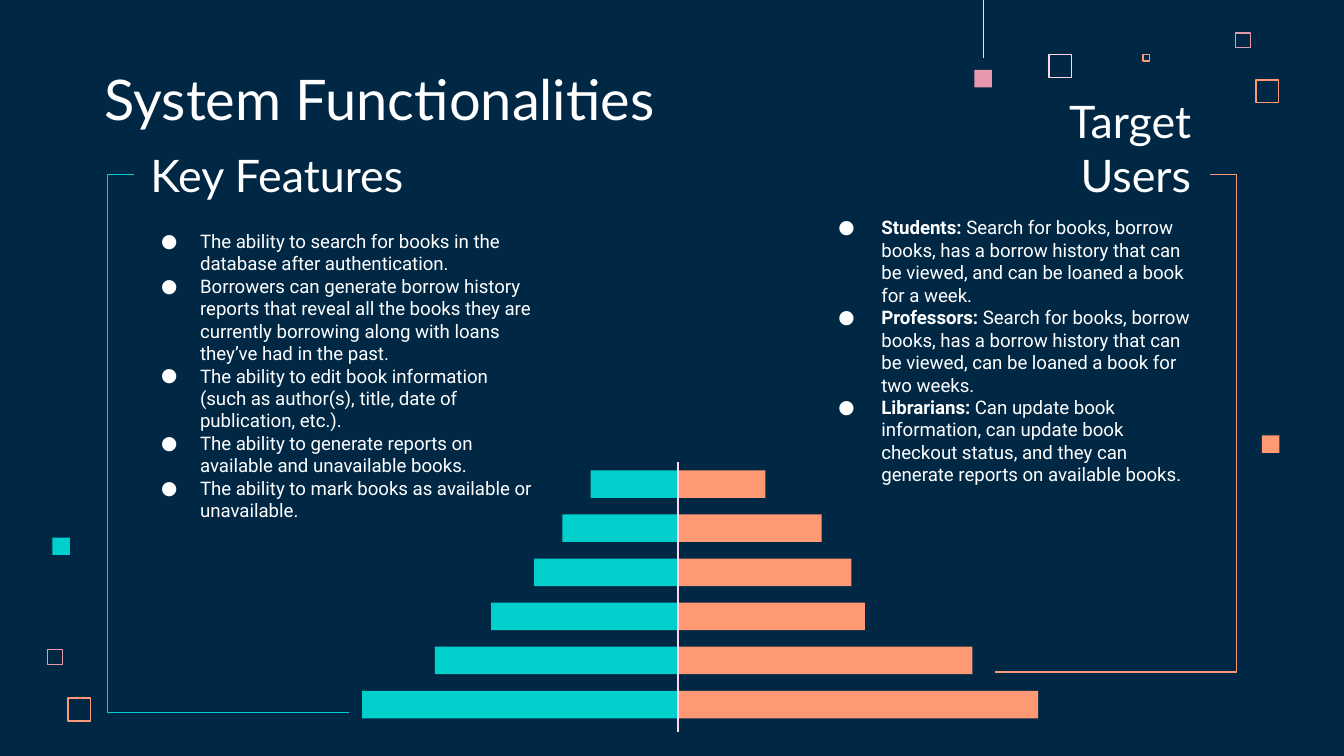
from typing import NamedTuple

from lxml.etree import SubElement
from pptx import Presentation
from pptx.dml.color import RGBColor
from pptx.enum.shapes import MSO_CONNECTOR as Connector, MSO_SHAPE as Shape
from pptx.enum.text import MSO_ANCHOR as Anchor, PP_ALIGN as Align
from pptx.oxml.ns import qn
from pptx.util import Emu, Inches, Pt

COLORS = {
    "navy": "002845",
    "white": "FFFFFF",
    "teal": "00CFCC",
    "orange": "FF9973",
    "rose": "E898AC",
    "blush": "FFD6E1",
}

# Square grid: 100 columns by 56.25 rows over the slide.
COLUMNS, ROWS = 100, 56.25
CELL = Inches(0.1)
HAIRLINE = Pt(0.75)
LINE_CELLS = 0.1


class Square(NamedTuple):
    column: float
    row: float
    size: float
    color: str
    filled: bool = False


class Heading(NamedTuple):
    text: str
    column: float
    row: float
    width: float
    size: int
    align: Align = Align.LEFT


class BulletList(NamedTuple):
    column: float
    row: float
    width: float
    height: float
    hanging: float
    items: list[tuple[str, str]]  # bold lead, plain text


class Bracket(NamedTuple):
    points: list[tuple[float, float]]
    color: str


class Bars(NamedTuple):
    color: str
    direction: int
    lengths: list[float]


SQUARES = [
    Square(78, 4, 1.8, "blush"),
    Square(91.9, 2.4, 1.2, "rose"),
    Square(85, 4, 0.6, "orange"),
    Square(93.4, 5.9, 1.8, "orange"),
    Square(72.5, 5.2, 1.3, "rose", True),
    Square(3.5, 48.3, 1.2, "rose"),
    Square(5, 51.9, 1.8, "orange"),
    Square(3.9, 40, 1.3, "teal", True),
    Square(93.9, 32.4, 1.3, "orange", True),
]
HEADINGS = [
    Heading("System Functionalities", 6.8, 4.5, 67.3, 30),
    Heading("Key Features", 10.2, 9.7, 22.6, 24),
    Heading("Target Users", 71.5, 9.7, 18.1, 24, Align.RIGHT),
]
FEATURES = BulletList(8.9, 16.1, 32.1, 32.6, 2.9, [
    ("", "The ability to search for books in the database after authentication."),
    ("", "Borrowers can generate borrow history reports that reveal all the books "
         "they are currently borrowing along with loans they’ve had in the past."),
    ("", "The ability to edit book information (such as author(s), title, date of "
         "publication, etc.)."),
    ("", "The ability to generate reports on available and unavailable books."),
    ("", "The ability to mark books as available or unavailable."),
])
USERS = BulletList(59.6, 15.1, 29.9, 30.4, 3.2, [
    ("Students: ", "Search for books, borrow books, has a borrow history that can be "
                   "viewed, and can be loaned a book for a week."),
    ("Professors: ", "Search for books, borrow books, has a borrow history that can be "
                     "viewed, can be loaned a book for two weeks."),
    ("Librarians: ", "Can update book information, can update book checkout status, "
                     "and they can generate reports on available books."),
])
BRACKETS = [
    Bracket([(10.2, 12.9), (7.6, 12.9), (7.6, 52.8), (25.8, 52.8), (25.8, 52.6)], "teal"),
    Bracket([(89.5, 12.9), (92.1, 12.9), (92.1, 50), (74.2, 50), (74.2, 49.9)], "orange"),
]
AXIS, FIRST_BAR, BAR_PITCH, BAR_HEIGHT = 50.45, 35, 3.28, 2.05
PYRAMID = [
    Bars("orange", 1, [6.5, 10.7, 12.9, 13.9, 21.9, 26.8]),
    Bars("teal", -1, [6.5, 8.6, 10.7, 13.9, 18.1, 23.5]),
]


def cells(count: float) -> Emu:
    return Emu(round(count * CELL))


def rgb(name: str) -> RGBColor:
    return RGBColor.from_string(COLORS[name])


def add_rectangle(slide, column: float, row: float, width: float, height: float,
                  color: str, filled: bool = True) -> None:
    shape = slide.shapes.add_shape(
        Shape.RECTANGLE, cells(column), cells(row), cells(width), cells(height))
    shape.shadow.inherit = False
    if filled:
        shape.fill.solid()
        shape.fill.fore_color.rgb = rgb(color)
        shape.line.fill.background()
    else:
        shape.fill.background()
        shape.line.color.rgb = rgb(color)
        shape.line.width = HAIRLINE


def add_square(slide, square: Square) -> None:
    """An outline is drawn so that its outer edge keeps the given size."""
    inset = 0 if square.filled else LINE_CELLS / 2
    side = square.size - 2 * inset
    add_rectangle(slide, square.column + inset, square.row + inset, side, side,
                  square.color, square.filled)


def add_vertical(slide, column: float, top: float, bottom: float, width: Pt) -> None:
    line = slide.shapes.add_connector(
        Connector.STRAIGHT, cells(column), cells(top), cells(column), cells(bottom))
    line.line.color.rgb = rgb("blush")
    line.line.width = width
    SubElement(line._element.spPr, qn("a:effectLst"))


def add_bracket(slide, bracket: Bracket) -> None:
    start, *rest = bracket.points
    builder = slide.shapes.build_freeform(*start, scale=CELL)
    builder.add_line_segments(rest, close=False)
    shape = builder.convert_to_shape()
    shape.shadow.inherit = False
    shape.fill.background()
    shape.line.color.rgb = rgb(bracket.color)
    shape.line.width = HAIRLINE


def add_text_frame(slide, column: float, row: float, width: float, height: float):
    frame = slide.shapes.add_textbox(
        cells(column), cells(row), cells(width), cells(height)).text_frame
    frame.word_wrap = True
    frame.margin_left = frame.margin_right = CELL
    frame.margin_top = frame.margin_bottom = CELL
    return frame


def style(font, name: str, size: int) -> None:
    font.name, font.size = name, Pt(size)
    font.color.rgb = rgb("white")


def add_heading(slide, heading: Heading) -> None:
    frame = add_text_frame(slide, heading.column, heading.row, heading.width, 6.3)
    frame.vertical_anchor = Anchor.BOTTOM
    frame.text = heading.text
    paragraph = frame.paragraphs[0]
    paragraph.alignment = heading.align
    style(paragraph.runs[0].font, "Lato", heading.size)


def add_bullet(paragraph, hanging: float) -> None:
    properties = paragraph._p.get_or_add_pPr()
    properties.set("marL", str(cells(5)))
    properties.set("indent", str(-cells(hanging)))
    color = SubElement(properties, qn("a:buClr"))
    SubElement(color, qn("a:srgbClr"), val=COLORS["white"])
    SubElement(properties, qn("a:buFont"), typeface="Roboto")
    SubElement(properties, qn("a:buChar"), char="●")


def add_bullet_list(slide, block: BulletList) -> None:
    frame = add_text_frame(slide, block.column, block.row, block.width, block.height)
    for index, (lead, text) in enumerate(block.items):
        paragraph = frame.add_paragraph() if index else frame.paragraphs[0]
        add_bullet(paragraph, block.hanging)
        for content, bold in ((lead, True), (text, False)):
            if content:
                run = paragraph.add_run()
                run.text = content
                style(run.font, "Roboto", 10)
                run.font.bold = bold


def add_pyramid(slide) -> None:
    for bars in PYRAMID:
        for index, length in enumerate(bars.lengths):
            left = AXIS if bars.direction > 0 else AXIS - length
            add_rectangle(slide, left, FIRST_BAR + index * BAR_PITCH, length,
                          BAR_HEIGHT, bars.color)
    add_vertical(slide, AXIS, 34.4, 54.5, HAIRLINE)


def main() -> None:
    presentation = Presentation()
    presentation.slide_width, presentation.slide_height = cells(COLUMNS), cells(ROWS)
    slide = presentation.slides.add_slide(presentation.slide_layouts[6])
    slide.background.fill.solid()
    slide.background.fill.fore_color.rgb = rgb("navy")

    for square in SQUARES:
        add_square(slide, square)
    add_vertical(slide, 73.2, 0, 4.3, Pt(0.5))
    for heading in HEADINGS:
        add_heading(slide, heading)
    add_bullet_list(slide, USERS)
    add_pyramid(slide)
    for bracket in BRACKETS:
        add_bracket(slide, bracket)
    add_bullet_list(slide, FEATURES)
    presentation.save("out.pptx")


if __name__ == "__main__":
    main()
